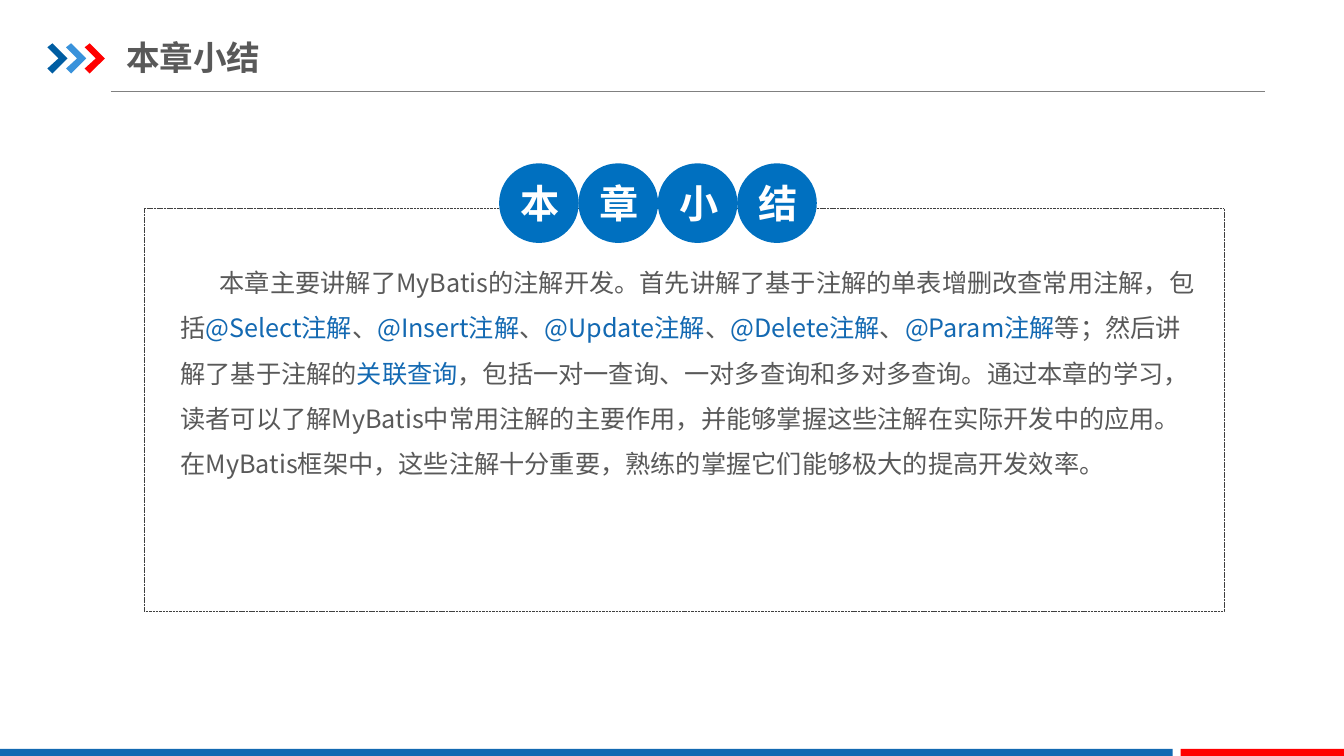
from dataclasses import dataclass

from lxml import etree
from pptx import Presentation
from pptx.dml.color import RGBColor
from pptx.enum.dml import MSO_LINE
from pptx.enum.shapes import MSO_CONNECTOR, MSO_SHAPE
from pptx.enum.text import MSO_ANCHOR, PP_ALIGN
from pptx.oxml.ns import qn
from pptx.util import Inches, Pt

RECTANGLE, OVAL = MSO_SHAPE.RECTANGLE, MSO_SHAPE.OVAL
STRAIGHT = MSO_CONNECTOR.STRAIGHT
MIDDLE, TOP = MSO_ANCHOR.MIDDLE, MSO_ANCHOR.TOP
LEFT, CENTER = PP_ALIGN.LEFT, PP_ALIGN.CENTER
FINE_DASH = MSO_LINE.SQUARE_DOT
TITLE_ONLY = 5


@dataclass(frozen=True)
class Theme:
    font: str = "Noto Sans CJK SC"
    text: str = "595959"
    accent: str = "1369B2"
    badge: str = "0070C0"
    white: str = "FFFFFF"
    rule: str = "808080"
    frame: str = "404040"
    red: str = "FF0000"
    chevrons: tuple = ("005DA2", "3992DB", "FF0000")
    title_size: int = 24
    badge_size: int = 28
    body_size: int = 18


THEME = Theme()
TITLE = "本章小结"
ANNOTATIONS = ("@Select注解", "@Insert注解", "@Update注解", "@Delete注解", "@Param注解")
OPENING = "本章主要讲解了MyBatis的注解开发。首先讲解了基于注解的单表增删改查常用注解，包括"
CLOSING = (
    "，包括一对一查询、一对多查询和多对多查询。通过本章的学习，"
    "读者可以了解MyBatis中常用注解的主要作用，并能够掌握这些注解在实际开发中的应用。"
    "在MyBatis框架中，这些注解十分重要，熟练的掌握它们能够极大的提高开发效率。"
)


def paint(shape, color):
    shape.shadow.inherit = False
    shape.fill.solid()
    shape.fill.fore_color.rgb = RGBColor.from_string(color)
    shape.line.fill.background()


def add_span(para, text, size, color, bold=False):
    span = para.add_run()
    span.text = text
    span.font.name = THEME.font
    span.font.size = Pt(size)
    span.font.bold = bold
    span.font.color.rgb = RGBColor.from_string(color)
    east_asian = etree.SubElement(span.font._element, qn("a:ea"))
    east_asian.set("typeface", THEME.font)


def prepare_text(shape, side, edge, anchor, align):
    """Set insets, wrapping and alignment, and return the first paragraph."""
    frame = shape.text_frame
    frame.word_wrap = True
    frame.margin_left = frame.margin_right = Inches(side)
    frame.margin_top = frame.margin_bottom = Inches(edge)
    frame.vertical_anchor = anchor
    para = frame.paragraphs[0]
    para.alignment = align
    return para


def add_title(page):
    title = page.shapes.title
    title.left, title.top = Inches(1.25), Inches(0.29)
    title.width, title.height = Inches(4.26), Inches(0.55)
    para = prepare_text(title, 0, 0.07, MIDDLE, LEFT)
    add_span(para, TITLE, THEME.title_size, THEME.text, bold=True)


def add_rule(page, left, right, top):
    rule = page.shapes.add_connector(
        STRAIGHT, Inches(left), Inches(top), Inches(right), Inches(top))
    rule.line.color.rgb = RGBColor.from_string(THEME.rule)
    rule.line.width = Pt(0.5)
    etree.SubElement(rule._element.spPr, qn("a:effectLst"))


def add_chevron(page, left, top, color):
    outline = [(0, 0.04), (0.05, 0), (0.2, 0.15), (0.05, 0.3), (0, 0.25), (0.11, 0.15)]
    points = [(Inches(left + x), Inches(top + y)) for x, y in outline]
    builder = page.shapes.build_freeform(*points[0])
    builder.add_line_segments(points[1:], close=True)
    paint(builder.convert_to_shape(), color)


def add_bar(page, left, width):
    return page.shapes.add_shape(
        RECTANGLE, Inches(left), Inches(7.43), Inches(width), Inches(0.09))


def add_frame(page):
    frame = page.shapes.add_shape(
        RECTANGLE, Inches(1.43), Inches(2.07), Inches(10.71), Inches(3.99))
    frame.shadow.inherit = False
    frame.fill.background()
    frame.line.color.rgb = RGBColor.from_string(THEME.frame)
    frame.line.width = Pt(0.25)
    frame.line.dash_style = FINE_DASH


def add_badge(page, left, character):
    badge = page.shapes.add_shape(
        OVAL, Inches(left), Inches(1.62), Inches(0.79), Inches(0.79))
    paint(badge, THEME.badge)
    para = prepare_text(badge, 0.1, 0.05, MIDDLE, CENTER)
    add_span(para, character, THEME.badge_size, THEME.white, bold=True)


def add_summary(page):
    box = page.shapes.add_textbox(
        Inches(1.66), Inches(2.43), Inches(10.39), Inches(2.4))
    para = prepare_text(box, 0.13, 0.07, TOP, LEFT)
    para.line_spacing = 1.5
    para._p.get_or_add_pPr().set("indent", str(Inches(0.39)))
    pieces = [(OPENING, THEME.text)]
    for number, annotation in enumerate(ANNOTATIONS):
        if number:
            pieces.append(("、", THEME.text))
        pieces.append((annotation, THEME.accent))
    pieces += [("等；然后讲解了基于注解的", THEME.text),
               ("关联查询", THEME.accent), (CLOSING, THEME.text)]
    for text, color in pieces:
        add_span(para, text, THEME.body_size, color)


def main():
    deck = Presentation()
    deck.slide_width, deck.slide_height = Inches(13.33), Inches(7.5)
    page = deck.slides.add_slide(deck.slide_layouts[TITLE_ONLY])
    for right in (12.16, 12.55):
        add_rule(page, 1.1, right, 0.91)
    for number, color in enumerate(THEME.chevrons):
        add_chevron(page, 0.47 + 0.185 * number, 0.43, color)
    paint(add_bar(page, 0, 11.63), THEME.accent)
    paint(add_bar(page, 11.71, 1.62), THEME.red)
    add_title(page)
    add_frame(page)
    for number, character in enumerate(TITLE):
        add_badge(page, 4.95 + 0.787 * number, character)
    add_summary(page)
    deck.save("out.pptx")


if __name__ == "__main__":
    main()
